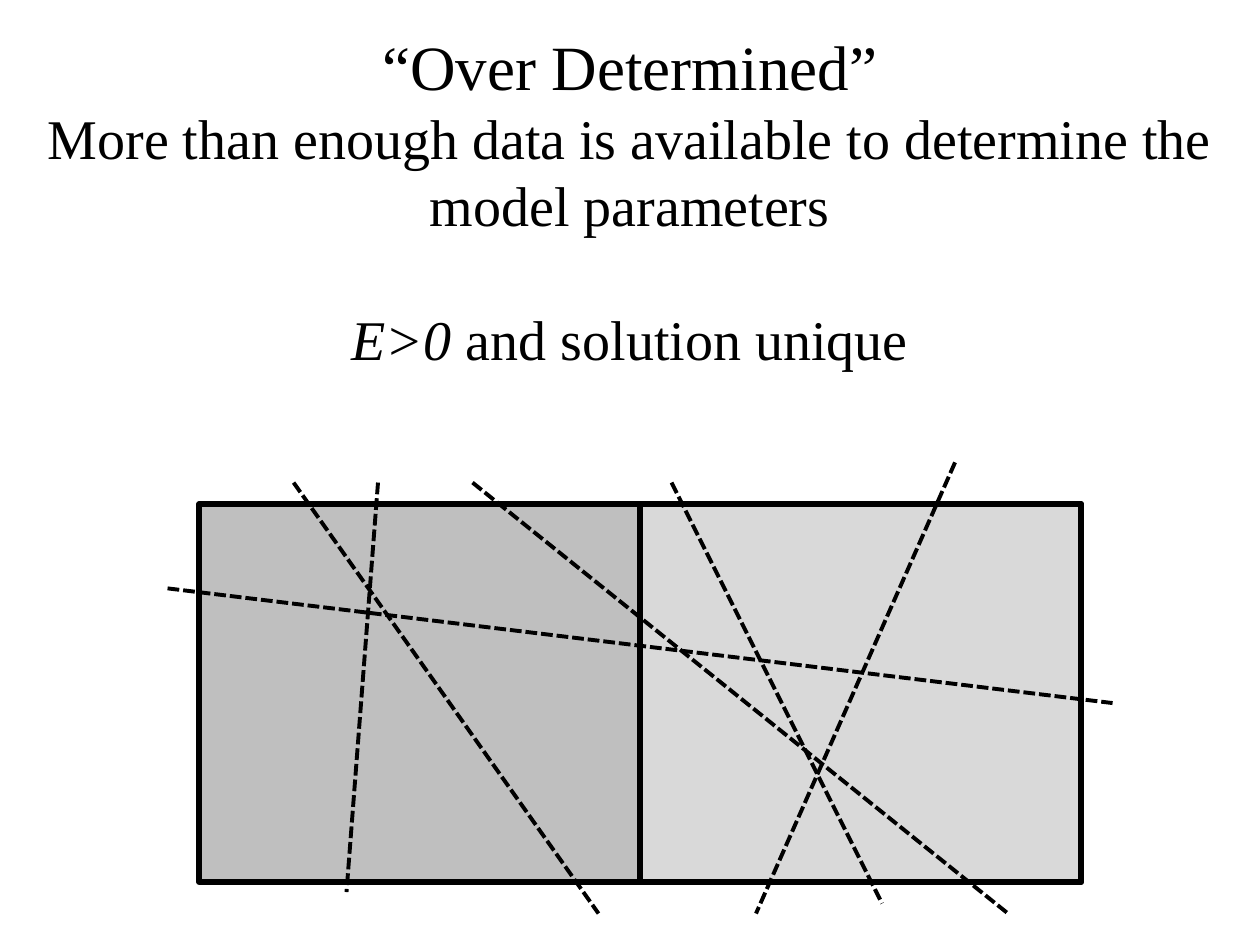
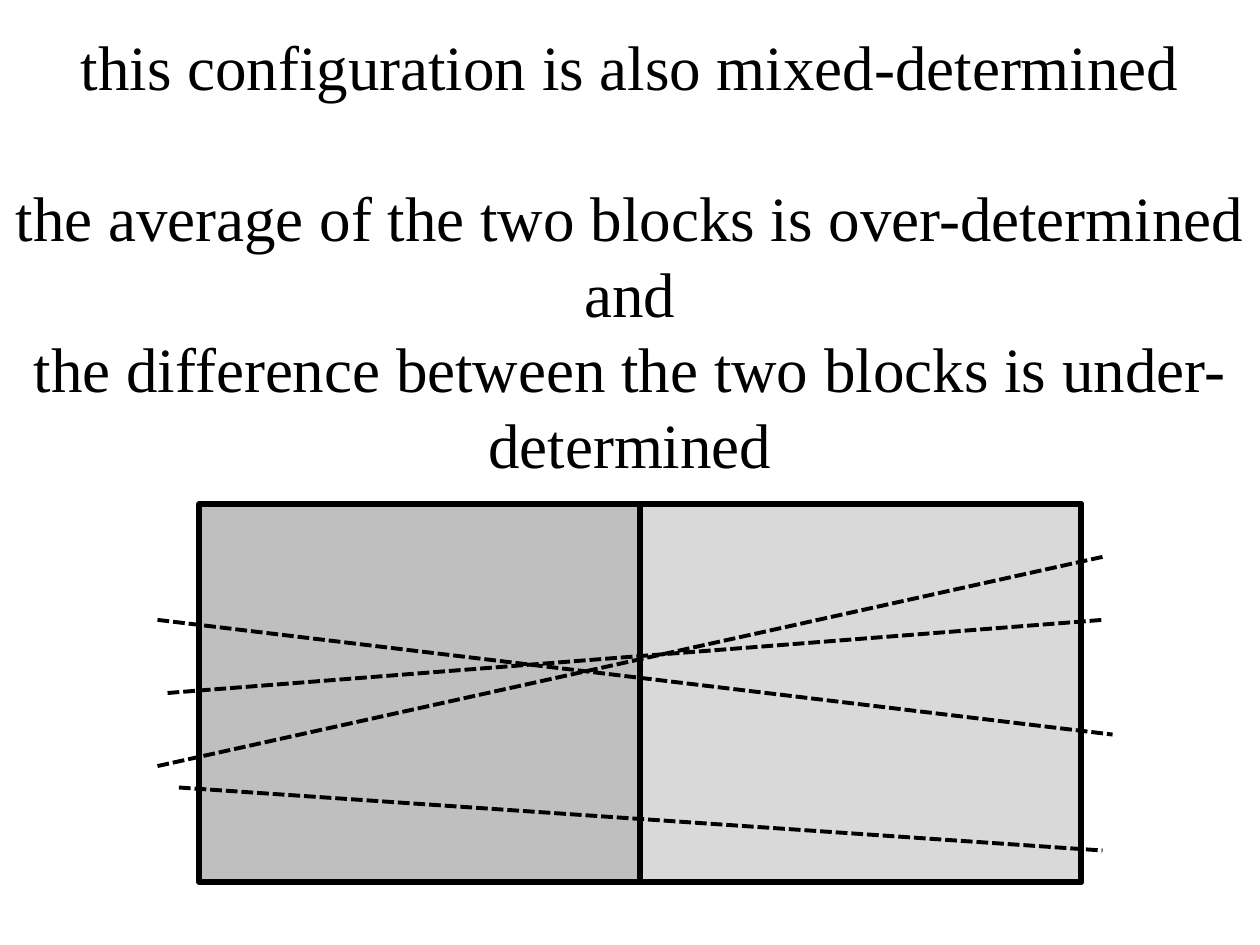
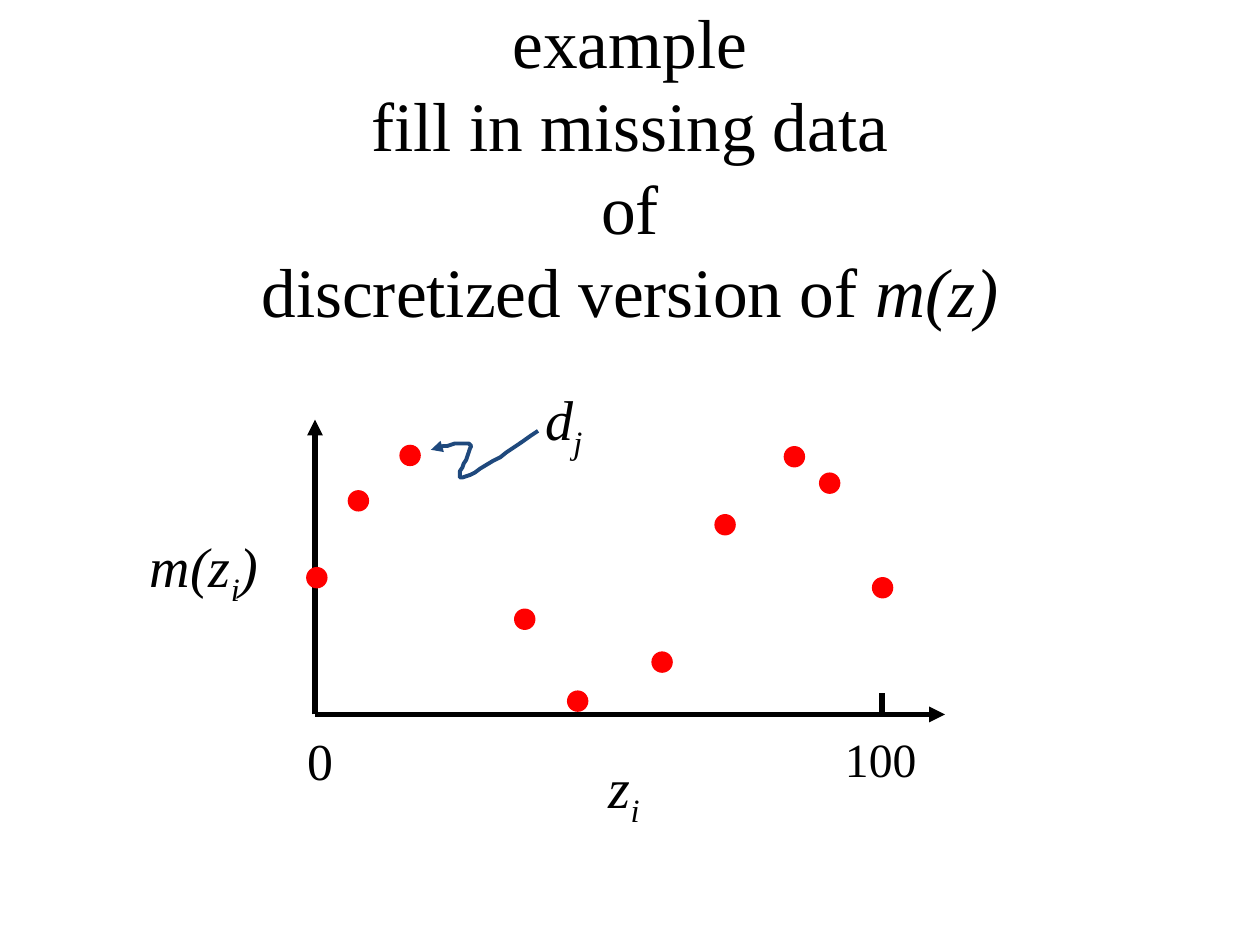
from dataclasses import dataclass

from lxml import etree
from pptx import Presentation
from pptx.dml.color import RGBColor
from pptx.enum.dml import MSO_LINE
from pptx.enum.shapes import MSO_CONNECTOR, MSO_SHAPE
from pptx.enum.text import MSO_ANCHOR, PP_ALIGN
from pptx.oxml.ns import qn
from pptx.util import Emu, Pt

PX = 9144  # 100 px to the inch
WIDE, HIGH = 1000, 750
RECT, OVAL = MSO_SHAPE.RECTANGLE, MSO_SHAPE.OVAL
STRAIGHT = MSO_CONNECTOR.STRAIGHT
DASH = MSO_LINE.SQUARE_DOT
MID, TOP = MSO_ANCHOR.MIDDLE, MSO_ANCHOR.TOP
CENTER = PP_ALIGN.CENTER
ITAL = {"italic": True}
SUB = {"italic": True, "sub": True}


@dataclass(frozen=True)
class Theme:
    font: str = "Times New Roman"
    ink: str = "000000"
    dark: str = "BFBFBF"
    light: str = "D9D9D9"
    dot: str = "FF0000"
    curl: str = "1F497D"
    title: float = 39.6
    head: float = 36
    body: float = 32
    zero: float = 29.6
    end: float = 27.2
    thick: float = 3
    thin: float = 2.25


def emu(*nums):
    return [Emu(round(num * PX)) for num in nums]


def curve(start, *parts, steps=12):
    """Points along a chain of cubic curves."""
    points = [start]
    for one, two, stop in parts:
        first = points[-1]
        for step in range(1, steps + 1):
            t = step / steps
            u = 1 - t
            points.append(tuple(
                u**3 * a + 3 * u * u * t * b + 3 * u * t * t * c + t**3 * d
                for a, b, c, d in zip(first, one, two, stop)))
    return points


class Deck:
    def __init__(self, theme):
        self.theme = theme
        self.show = Presentation()
        self.show.slide_width, self.show.slide_height = emu(WIDE, HIGH)
        self.slide = None

    def page(self):
        self.slide = self.show.slides.add_slide(self.show.slide_layouts[6])

    def stroke(self, line, color, width, dash=None):
        line.color.rgb = RGBColor.from_string(color)
        line.width = Pt(width)
        if dash:
            line.dash_style = dash

    def tip(self, shape, end):
        line = shape.line._get_or_add_ln()
        etree.SubElement(line, qn(f"a:{end}End"), type="triangle")

    def shape(self, kind, box, fill, edge=None):
        item = self.slide.shapes.add_shape(kind, *emu(*box))
        item.shadow.inherit = False
        item.fill.solid()
        item.fill.fore_color.rgb = RGBColor.from_string(fill)
        if edge:
            self.stroke(item.line, edge, self.theme.thick)
        else:
            item.line.fill.background()

    def line(self, start, stop, width, dash=None, arrow=False):
        item = self.slide.shapes.add_connector(STRAIGHT, *emu(*start, *stop))
        self.stroke(item.line, self.theme.ink, width, dash)
        if arrow:
            self.tip(item, "tail")
        etree.SubElement(item._element.spPr, qn("a:effectLst"))

    def free(self, points, color, width):
        maker = self.slide.shapes.build_freeform(*points[0], scale=PX)
        maker.add_line_segments(points[1:], close=False)
        item = maker.convert_to_shape()
        item.shadow.inherit = False
        item.fill.background()
        self.stroke(item.line, color, width)
        self.tip(item, "head")

    def text(self, box, rows, size, anchor=TOP, **form):
        """Each row is a list of (words, format) runs, with its own form."""
        frame = self.slide.shapes.add_textbox(*emu(*box)).text_frame
        frame.word_wrap = True
        frame.vertical_anchor = anchor
        for at, (runs, own) in enumerate(rows):
            para = frame.add_paragraph() if at else frame.paragraphs[0]
            para.alignment = CENTER
            for name, value in {**form, **own}.items():
                if name != "size":
                    setattr(para, name, value)
            for words, style in runs:
                self.run(para, words, own.get("size", size), style)

    def run(self, para, words, size, style):
        run = para.add_run()
        run.text = words
        run.font.color.rgb = RGBColor.from_string(self.theme.ink)
        look = {"name": self.theme.font, "size": Pt(size),
                "italic": style.get("italic", False)}
        for name, value in look.items():
            setattr(run.font, name, value)
        if style.get("sub"):
            run._r.get_or_add_rPr().set("baseline", "-25000")

    def label(self, box, runs, size, **form):
        self.text(box, [(runs, {})], size, space_before=Pt(size * 0.2), **form)

    def blocks(self, rays):
        """Two adjoining blocks crossed by dashed rays."""
        look = self.theme
        self.shape(RECT, (158, 400, 700, 300), look.dark, look.ink)
        self.shape(RECT, (508, 400, 350, 300), look.light, look.ink)
        for start, stop in rays:
            self.line(start, stop, look.thin, DASH)


def over(deck):
    look = deck.theme
    deck.page()
    deck.blocks([
        ((233, 383), (475, 725)), ((758, 367), (600, 725)),
        ((300, 383), (275, 708)), ((533, 383), (700, 717)),
        ((375, 383), (800, 725)), ((133, 467), (883, 558)),
    ])
    deck.text((0, 17, WIDE, 316), [
        ([("“Over Determined”", {})], {"size": look.head}),
        ([("More than enough data is available to determine the "
           "model parameters", {})], {}),
        ([("E>0", ITAL), (" and solution unique", {})],
         {"space_before": Pt(look.body * 1.2)}),
    ], look.body)


def mixed(deck):
    look = deck.theme
    deck.page()
    deck.blocks([
        ((125, 492), (883, 583)), ((133, 550), (875, 492)),
        ((125, 608), (875, 442)), ((142, 625), (875, 675)),
    ])
    deck.text((0, 17, WIDE, 464), [
        ([("this configuration is also mixed-determined", {})], {}),
        ([("the average of the two blocks is over-determined", {})],
         {"space_before": Pt(look.head * 1.2)}),
        ([("and", {})], {}),
        ([("the difference between the two blocks is under-determined", {})],
         {}),
    ], look.head)


def missing(deck):
    look = deck.theme
    deck.page()
    deck.text((50, 0, 900, 262), [
        ([("example", {})], {}),
        ([("fill in missing data", {})], {}),
        ([("of", {})], {}),
        ([("discretized version of ", {}), ("m(z)", ITAL)], {}),
    ], look.title, MID)

    # Axes and the tick at 100
    zero = (250, 567)
    deck.line(zero, (750, 567), look.thick, arrow=True)
    deck.line(zero, (250, 333), look.thick, arrow=True)
    deck.line((700, 550), (700, 567), look.thick)

    # Axis labels
    deck.label((83, 417, 158, 75),
               [("m(z", ITAL), ("i", SUB), (")", ITAL)], look.body)
    deck.label((408, 592, 175, 83), [("z", ITAL), ("i", SUB)], look.body)
    deck.label((225, 583, 58, 50), [("0", {})], look.zero, line_spacing=0.8)
    deck.label((645, 583, 108, 50), [("100", {})], look.end, line_spacing=0.8)

    # Data points
    for left, top in [(243, 450), (276, 389), (317, 353), (408, 483),
                      (450, 548), (517, 517), (567, 408), (622, 354),
                      (650, 375), (692, 458)]:
        deck.shape(OVAL, (left, top, 17, 17), look.dot)

    # Pointer to one datum
    deck.free(curve((342, 357),
                    ((355, 353), (369, 350), (373, 353)),
                    ((377, 357), (358, 381), (367, 379)),
                    ((376, 377), (402, 359), (427, 342))),
              look.curl, look.thin)
    deck.label((360, 300, 175, 83), [("d", ITAL), ("j", SUB)], look.body)


def main():
    deck = Deck(Theme())
    for build in (over, mixed, missing):
        build(deck)
    deck.show.save("out.pptx")


if __name__ == "__main__":
    main()
